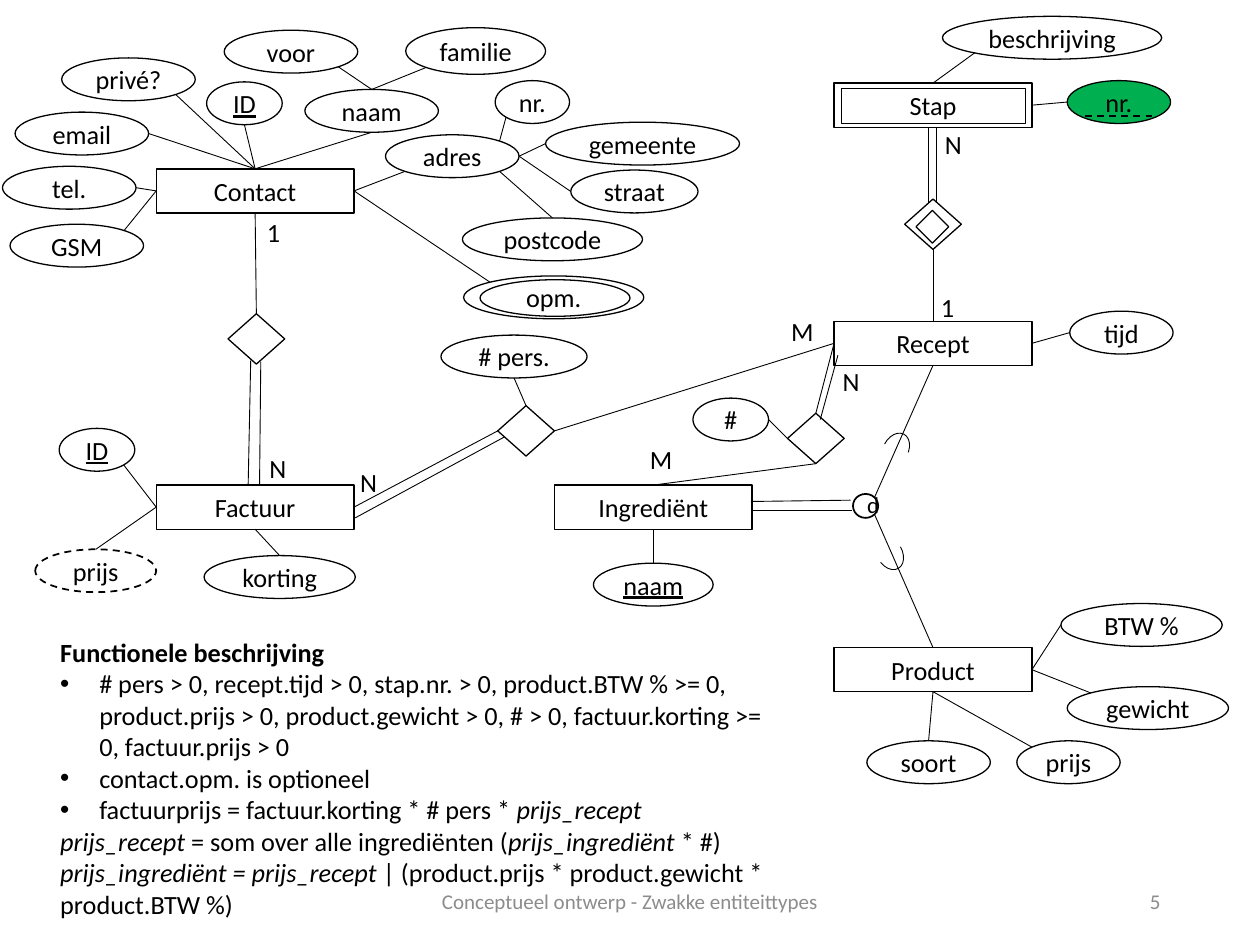
from dataclasses import dataclass
from math import sqrt

from lxml.etree import SubElement
from pptx import Presentation
from pptx.dml.color import RGBColor
from pptx.enum.dml import MSO_LINE
from pptx.enum.shapes import MSO_CONNECTOR, MSO_SHAPE as SHAPE
from pptx.enum.text import MSO_ANCHOR as ANCHOR, PP_ALIGN as ALIGN
from pptx.oxml.ns import qn
from pptx.util import Inches, Pt


@dataclass(frozen=True)
class Theme:
    font: str = "Calibri"
    body: float = 15
    small: float = 13
    footer: float = 12
    ink: str = "000000"
    grey: str = "8C8C8C"
    paper: str = "FFFFFF"
    weak_key: str = "00B050"
    outline: float = 0.75
    bold_outline: float = 1
    link: float = 0.5


THEME = Theme()
WIDTH, HEIGHT = Inches(10), Inches(7.5)
COL, ROW = WIDTH / 100, HEIGHT / 75  # the grid: 100 columns by 75 rows
ENTITY_SIZE, DIAMOND_SIZE, OVAL_HEIGHT = (15.7, 3.5), (4.5, 4), 3.4

# Names are "owner/label"; only the label shows. Values are columns and rows.
ENTITIES = {
    "Contact": (12.4, 13.4), "Factuur": (12.4, 38.5), "Recept": (66.2, 25.5),
    "Ingrediënt": (44, 38.5), "Product": (66.2, 51.4), "Stap": (66.2, 6.6),
}
ATTRIBUTES = {  # left, top, width
    "Contact/ID": (16.4, 6.5, 6), "Contact/naam": (24.2, 7.1, 10.6),
    "naam/voor": (17.8, 2.4, 10.6), "Contact/privé?": (4.9, 4.6, 10.6),
    "Contact/adres": (30.6, 10.7, 10.6), "adres/nr.": (39.3, 6.4, 5.9),
    "adres/gemeente": (43.3, 9.7, 15.4), "adres/straat": (45.3, 13.5, 10.1),
    "adres/postcode": (36.7, 17.3, 14.3), "Contact/email": (1.2, 8.9, 10.6),
    "Contact/tel.": (0.2, 13.2, 10.6), "Contact/GSM": (0.8, 17.8, 10.6),
    "Contact/opm.": (36.8, 21.9, 14.3), "Recept/tijd": (84.9, 24.7, 8.2),
    "Stap/nr.": (84.7, 6.4, 8.2), "Stap/beschrijving": (74.8, 1.3, 17.4),
    "Product/soort": (68.8, 58.8, 9.8), "Product/prijs": (80.7, 58.8, 8.2),
    "Product/gewicht": (84.7, 54.5, 12.8), "Product/BTW %": (84.2, 47.9, 12.8),
    "levert/# pers.": (35, 26.6, 11.6), "Factuur/ID": (4.7, 34, 6),
    "bevat/#": (55, 31.6, 6), "Factuur/prijs": (2.8, 43.6, 9.6),
    "Factuur/korting": (16.2, 44.1, 12), "Ingrediënt/naam": (47.1, 44.7, 9.5),
}
KEYS = {"Contact/ID", "Factuur/ID", "Ingrediënt/naam"}
DIAMONDS = {"stappen": (71.8, 15.8), "bevat": (62.5, 32.8),
            "plaatst": (18.1, 24.9), "levert": (39.5, 32.2)}
LINKS = [  # name, side, name, side
    ("Contact/ID", "s", "Contact", "n"), ("Contact/privé?", "se", "Contact", "n"),
    ("Contact/email", "e", "Contact", "n"), ("Contact/tel.", "e", "Contact", "w"),
    ("Contact", "w", "Contact/GSM", "ne"), ("Contact/naam", "s", "Contact", "n"),
    ("naam/voor", "se", "Contact/naam", "n"), ("naam/familie", "sw", "Contact/naam", "n"),
    ("Contact/adres", "sw", "Contact", "e"), ("adres/nr.", "sw", "Contact/adres", "ne"),
    ("adres/gemeente", "w", "Contact/adres", "e"), ("adres/straat", "w", "Contact/adres", "e"),
    ("adres/postcode", "n", "Contact/adres", "se"), ("Contact/opm.", "nw", "Contact", "e"),
    ("Recept/tijd", "w", "Recept", "e"), ("Stap/nr.", "w", "Stap", "e"),
    ("Stap/beschrijving", "sw", "Stap", "n"), ("Product", "s", "Product/soort", "n"),
    ("Product", "s", "Product/prijs", "nw"), ("Product/gewicht", "nw", "Product", "e"),
    ("Product/BTW %", "w", "Product", "e"), ("disjoint", "ne", "Recept", "s"),
    ("disjoint", "se", "Product", "n"), ("Recept", "n", "stappen", "s"),
    ("Ingrediënt", "n", "bevat", "s"), ("bevat", "n", "Recept", "w"),
    ("plaatst", "n", "Contact", "s"), ("levert", "e", "Recept", "w"),
    ("levert", "w", "Factuur", "e"), ("levert/# pers.", "s", "levert", "n"),
    ("Factuur", "w", "Factuur/ID", "se"), ("bevat", "w", "bevat/#", "e"),
    ("Factuur/prijs", "n", "Factuur", "w"), ("Factuur", "s", "Factuur/korting", "n"),
    ("Ingrediënt/naam", "n", "Ingrediënt", "s"),
]
DOUBLE_LINES = [  # strands of total participation that miss the side centres
    (59.6, 39.8, 67.5, 39.7), (59.7, 40.5, 67.6, 40.5),
    (74.3, 16.1, 74.3, 10.2), (73.7, 16.1, 73.7, 10.1),
    (65.1, 33.3, 66.5, 28.2), (40, 34.7, 28.2, 41.1),
    (20.7, 28.7, 20.6, 38.5), (19.9, 28.6, 19.7, 38.4),
]
CARDINALITIES = [("N", 20.4, 35.4), ("1", 20.2, 16.7), ("N", 27.6, 36.5),
                 ("M", 61.8, 24.5), ("M", 50.6, 34.7), ("N", 65.9, 28.5),
                 ("1", 73.7, 22.6), ("N", 74, 9.7)]
NOTES = [  # bulleted, runs of (text, style)
    (False, [("Functionele beschrijving", "b")]),
    (True, [("# pers > 0, recept.tijd > 0, stap.nr. > 0, product.BTW % >= 0, "
             "product.prijs > 0, product.gewicht > 0, # > 0, "
             "factuur.korting >= 0, factuur.prijs > 0", "")]),
    (True, [("contact.opm. is optioneel", "")]),
    (True, [("factuurprijs = factuur.korting * # pers * ", ""), ("prijs_recept", "i")]),
    (False, [("prijs_recept", "i"), (" = som over alle ingrediënten (", ""),
             ("prijs_ingrediënt ", "i"), ("* #)", "")]),
    (False, [("prijs_ingrediënt = prijs_recept ", "i"),
             ("| (product.prijs * product.gewicht * product.BTW %)", "")]),
]


def grid(x, y, w, h):
    return [round(v) for v in (x * COL, y * ROW, w * COL, h * ROW)]


def style_run(r, size=THEME.body, color=THEME.ink, style=""):
    """Format a run; style may hold b, i and u."""
    r.font.name, r.font.size = THEME.font, Pt(size)
    r.font.color.rgb = RGBColor.from_string(color)
    r.font.bold, r.font.italic = "b" in style, "i" in style
    r.font.underline = "u" in style


def write(sp, text, align=ALIGN.CENTER, **font):
    tf = sp.text_frame
    tf.word_wrap, tf.vertical_anchor = False, ANCHOR.MIDDLE
    tf.text = text
    p = tf.paragraphs[0]
    p.alignment = align
    style_run(p.runs[0], **font)


def add_node(s, kind, box, text="", fill=THEME.paper, width=THEME.outline, style=""):
    sp = s.shapes.add_shape(kind, *grid(*box))
    sp.shadow.inherit = False
    if fill:
        sp.fill.solid()
        sp.fill.fore_color.rgb = RGBColor.from_string(fill)
    else:
        sp.fill.background()
    sp.line.color.rgb = RGBColor.from_string(THEME.ink)
    sp.line.width = Pt(width)
    if text:
        write(sp, text, style=style)
    return sp


def add_label(s, text, box, align=ALIGN.LEFT, **font):
    write(s.shapes.add_textbox(*grid(*box)), text, align, **font)


def add_line(s, x1, y1, x2, y2, width=THEME.link):
    line = s.shapes.add_connector(MSO_CONNECTOR.STRAIGHT, *grid(x1, y1, x2, y2))
    line.line.color.rgb = RGBColor.from_string(THEME.ink)
    line.line.width = Pt(width)
    SubElement(line._element.spPr, qn("a:effectLst"))
    return line


def side_point(box, side):
    """Point on the outline of a node, by compass direction."""
    x, y, w, h = box
    reach = sqrt(0.5) if len(side) == 2 else 1
    dx = ("e" in side) - ("w" in side)
    dy = ("s" in side) - ("n" in side)
    return x + w / 2 * (1 + dx * reach), y + h / 2 * (1 + dy * reach)


def add_diagram(s):
    boxes = {name: (*at, *ENTITY_SIZE) for name, at in ENTITIES.items()}
    for name, box in boxes.items():
        add_node(s, SHAPE.RECTANGLE, box, name, fill=None)
    ovals = {name: (*at, OVAL_HEIGHT) for name, at in ATTRIBUTES.items()}
    ovals["naam/familie"] = (32.2, 2.2, 11.1, 3.7)
    for name, box in ovals.items():
        sp = add_node(s, SHAPE.OVAL, box, name.split("/")[1],
                      fill=THEME.weak_key if name == "Stap/nr." else THEME.paper,
                      style="u" if name in KEYS else "")
        if name == "Factuur/prijs":
            sp.line.dash_style, sp.line.width = MSO_LINE.DASH, Pt(THEME.bold_outline)
    diamonds = {name: (*at, *DIAMOND_SIZE) for name, at in DIAMONDS.items()}
    for box in diamonds.values():
        add_node(s, SHAPE.DIAMOND, box)
    boxes |= ovals | diamonds | {"disjoint": (67.7, 39.2, 2, 1.9)}

    add_node(s, SHAPE.OVAL, boxes["disjoint"], fill=None, width=THEME.bold_outline)
    add_label(s, "d", (67.9, 38.4, 1.9, 3.2), ALIGN.CENTER, size=THEME.small)
    add_node(s, SHAPE.OVAL, (38.1, 22.2, 11.9, 2.9), fill=None)
    add_node(s, SHAPE.RECTANGLE, (66.8, 7, 14.6, 2.8), fill=None)
    add_node(s, SHAPE.DIAMOND, (72.7, 16.7, 2.6, 2.6))
    for x, y, turn in ((69.7, 34.7, 297.1), (69.2, 42.9, 60.1)):
        arc = add_node(s, SHAPE.ARC, (x, y, 2.8, 2), fill=None, width=THEME.link)
        arc.adjustments[0], arc.adjustments[1] = 162, 44.44
        arc.rotation = turn

    for a, side_a, b, side_b in LINKS:
        add_line(s, *side_point(boxes[a], side_a), *side_point(boxes[b], side_b))
    for ends in DOUBLE_LINES:
        add_line(s, *ends)
    add_line(s, 86.1, 9.2, 91.4, 9.2, THEME.bold_outline).line.dash_style = MSO_LINE.DASH
    for text, x, y in CARDINALITIES:
        add_label(s, text, (x, y, 3.4, 3.5))


def add_notes(s):
    tf = s.shapes.add_textbox(*grid(3.8, 50, 58.4, 26.3)).text_frame
    tf.word_wrap = True
    for i, (bulleted, runs) in enumerate(NOTES):
        p = tf.add_paragraph() if i else tf.paragraphs[0]
        for text, style in runs:
            r = p.add_run()
            r.text = text
            style_run(r, style=style)
        if bulleted:
            pPr = p._p.get_or_add_pPr()
            pPr.set("marL", str(Inches(0.31)))
            pPr.set("indent", str(-Inches(0.31)))
            SubElement(pPr, qn("a:buFont")).set("typeface", "Arial")
            SubElement(pPr, qn("a:buChar")).set("char", "•")


def add_footer(s):
    font = dict(size=THEME.footer, color=THEME.grey)
    add_label(s, "Conceptueel ontwerp - Zwakke entiteittypes",
              (33.1, 69.5, 33.8, 4), ALIGN.CENTER, **font)
    add_label(s, "5", (70.6, 69.5, 22.5, 4), ALIGN.RIGHT, **font)


def main():
    prs = Presentation()
    prs.slide_width, prs.slide_height = WIDTH, HEIGHT
    s = prs.slides.add_slide(prs.slide_layouts[6])
    add_footer(s)
    add_diagram(s)
    add_notes(s)
    prs.save("out.pptx")


if __name__ == "__main__":
    main()
